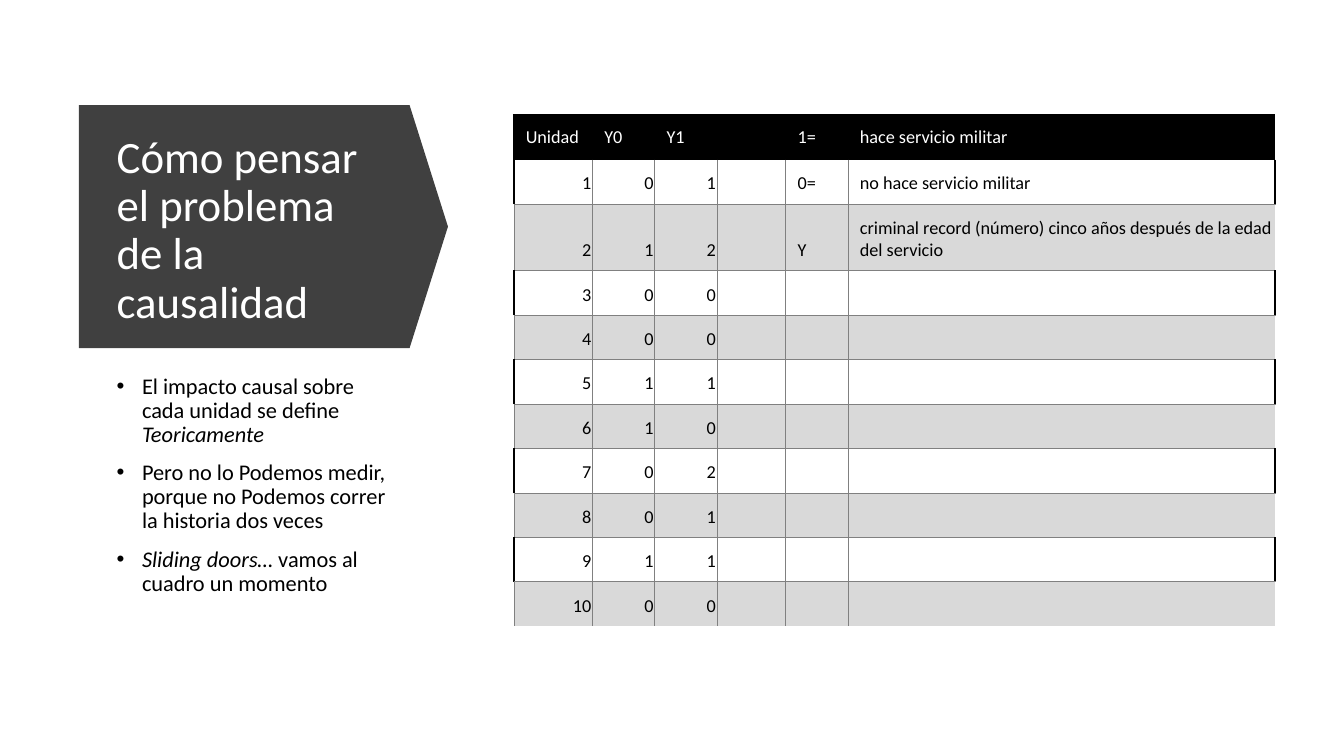
from lxml import etree
from pptx import Presentation
from pptx import util as u
from pptx.dml.color import RGBColor
from pptx.enum import shapes, text
from pptx.oxml.ns import qn

COLORS = {"black": "000000", "white": "FFFFFF", "charcoal": "404040",
          "band": "D9D9D9", "grid": "808080"}
FONT = "Calibri"
NO_STYLE_TABLE = "{2D5ABB26-0587-4C30-8999-92F81FD0307C}"
THICK, THIN = ("black", 1.5), ("grid", 0.5)

TITLE = [[("Cómo pensar el problema de la causalidad", False)]]
POINTS = [
    [("El impacto causal sobre cada unidad se define ", False), ("Teoricamente", True)],
    [("Pero no lo Podemos medir, porque no Podemos correr la historia dos veces", False)],
    [("Sliding doors… ", True), ("vamos al cuadro un momento", False)],
]
HEADER = ["Unidad", "Y0", "Y1", "", "1=", "hace servicio militar"]
OUTCOMES = [(0, 1), (1, 2), (0, 0), (0, 0), (1, 1),
            (1, 0), (0, 2), (0, 1), (1, 1), (0, 0)]
LEGEND = {
    1: ("0=", "no hace servicio militar"),
    2: ("Y", "criminal record (número) cinco años después de la edad del servicio"),
}
COLUMN_WIDTHS = [1.98, 1.57, 1.57, 1.73, 1.57, 10.76]
ROW_HEIGHT, TALL_ROW, TALL_HEIGHT = 1.12, 2, 1.68
NUMBER_COLUMNS = 3


def rgb(name):
    return RGBColor.from_string(COLORS[name])


def write_text(frame, paragraphs, size, color="black", align=None,
               line_spacing=None, space_before=None, bullet=False):
    """Fill a text frame; each paragraph is a list of (text, italic) runs."""
    for index, runs in enumerate(paragraphs):
        paragraph = frame.paragraphs[0] if index == 0 else frame.add_paragraph()
        paragraph.alignment = align
        paragraph.line_spacing = line_spacing
        paragraph.space_before = space_before
        if bullet:
            add_bullet(paragraph)
        for content, italic in runs:
            run = paragraph.add_run()
            run.text = content
            run.font.name = FONT
            run.font.size = u.Pt(size)
            run.font.italic = italic
            run.font.color.rgb = rgb(color)


def add_bullet(paragraph):
    properties = paragraph._p.get_or_add_pPr()
    indent = u.Cm(0.64)
    properties.set("marL", str(indent))
    properties.set("indent", str(-indent))
    etree.SubElement(properties, qn("a:buFont"), typeface="Arial")
    etree.SubElement(properties, qn("a:buChar"), char="•")


def add_text_box(slide, left, top, width, height, paragraphs, size,
                 anchor=text.MSO_ANCHOR.TOP, **text_format):
    box = slide.shapes.add_textbox(u.Cm(left), u.Cm(top), u.Cm(width), u.Cm(height))
    frame = box.text_frame
    frame.word_wrap = True
    frame.vertical_anchor = anchor
    write_text(frame, paragraphs, size, line_spacing=0.9, **text_format)


def add_title_arrow(slide):
    arrow = slide.shapes.add_shape(shapes.MSO_SHAPE.DOWN_ARROW, u.Cm(3.58),
                                   u.Cm(1.06), u.Cm(6.12), u.Cm(9.3))
    arrow.rotation = 270
    arrow.adjustments[0] = 1
    arrow.adjustments[1] = 0.158
    arrow.shadow.inherit = False
    arrow.fill.solid()
    arrow.fill.fore_color.rgb = rgb("charcoal")
    arrow.line.fill.background()


def cell_borders(row, column):
    """Map each drawn side of a cell to its colour and width."""
    last = column == len(HEADER) - 1
    if row == 0:
        return {"L": THICK, "T": THICK} if column == 0 else {"T": THICK}
    if row % 2:
        return {"L": THIN if column else THICK, "R": THICK if last else THIN, "B": THIN}
    return {"L": THIN, "T": THIN} if last else {"L": THIN, "R": THIN, "T": THIN}


def draw_borders(cell, borders):
    properties = cell._tc.get_or_add_tcPr()
    for side, (color, width) in borders.items():
        line = etree.SubElement(properties, qn(f"a:ln{side}"), w=str(u.Pt(width)))
        fill = etree.SubElement(line, qn("a:solidFill"))
        etree.SubElement(fill, qn("a:srgbClr"), val=COLORS[color])


def format_cell(cell, row, column, content):
    draw_borders(cell, cell_borders(row, column))
    if row % 2:
        cell.fill.background()
    else:
        cell.fill.solid()
        cell.fill.fore_color.rgb = rgb("band" if row else "black")
    if content == "":
        return
    cell.margin_left, cell.margin_right = u.Cm(0.3), u.Cm(0.03)
    cell.margin_top = cell.margin_bottom = u.Cm(0.23)
    cell.vertical_anchor = text.MSO_ANCHOR.BOTTOM if row else text.MSO_ANCHOR.MIDDLE
    is_number = row > 0 and column < NUMBER_COLUMNS
    write_text(cell.text_frame, [[(str(content), False)]], 13,
               color="black" if row else "white",
               align=text.PP_ALIGN.RIGHT if is_number else None)


def add_outcome_table(slide):
    rows = [HEADER] + [[unit, *outcome, "", *LEGEND.get(unit, ("", ""))]
                       for unit, outcome in enumerate(OUTCOMES, 1)]
    frame = slide.shapes.add_table(len(rows), len(HEADER), u.Cm(12.95), u.Cm(2.9),
                                   u.Cm(19.18), u.Cm(12.88))
    table = frame.table
    table.first_row = table.horz_banding = False
    table._tbl.tblPr.find(qn("a:tableStyleId")).text = NO_STYLE_TABLE
    for column, width in zip(table.columns, COLUMN_WIDTHS):
        column.width = u.Cm(width)
    for row, contents in enumerate(rows):
        table.rows[row].height = u.Cm(TALL_HEIGHT if row == TALL_ROW else ROW_HEIGHT)
        for column, content in enumerate(contents):
            format_cell(table.cell(row, column), row, column, content)


def main():
    presentation = Presentation()
    presentation.slide_width, presentation.slide_height = u.Cm(33.87), u.Cm(19.05)
    slide = presentation.slides.add_slide(presentation.slide_layouts[6])
    add_title_arrow(slide)
    add_text_box(slide, 2.69, 3.35, 7.2, 4.95, TITLE, 32,
                 anchor=text.MSO_ANCHOR.MIDDLE, color="white")
    add_text_box(slide, 2.69, 9.32, 7.42, 6.73, POINTS, 16,
                 space_before=u.Pt(10), bullet=True)
    add_outcome_table(slide)
    presentation.save("out.pptx")


if __name__ == "__main__":
    main()
